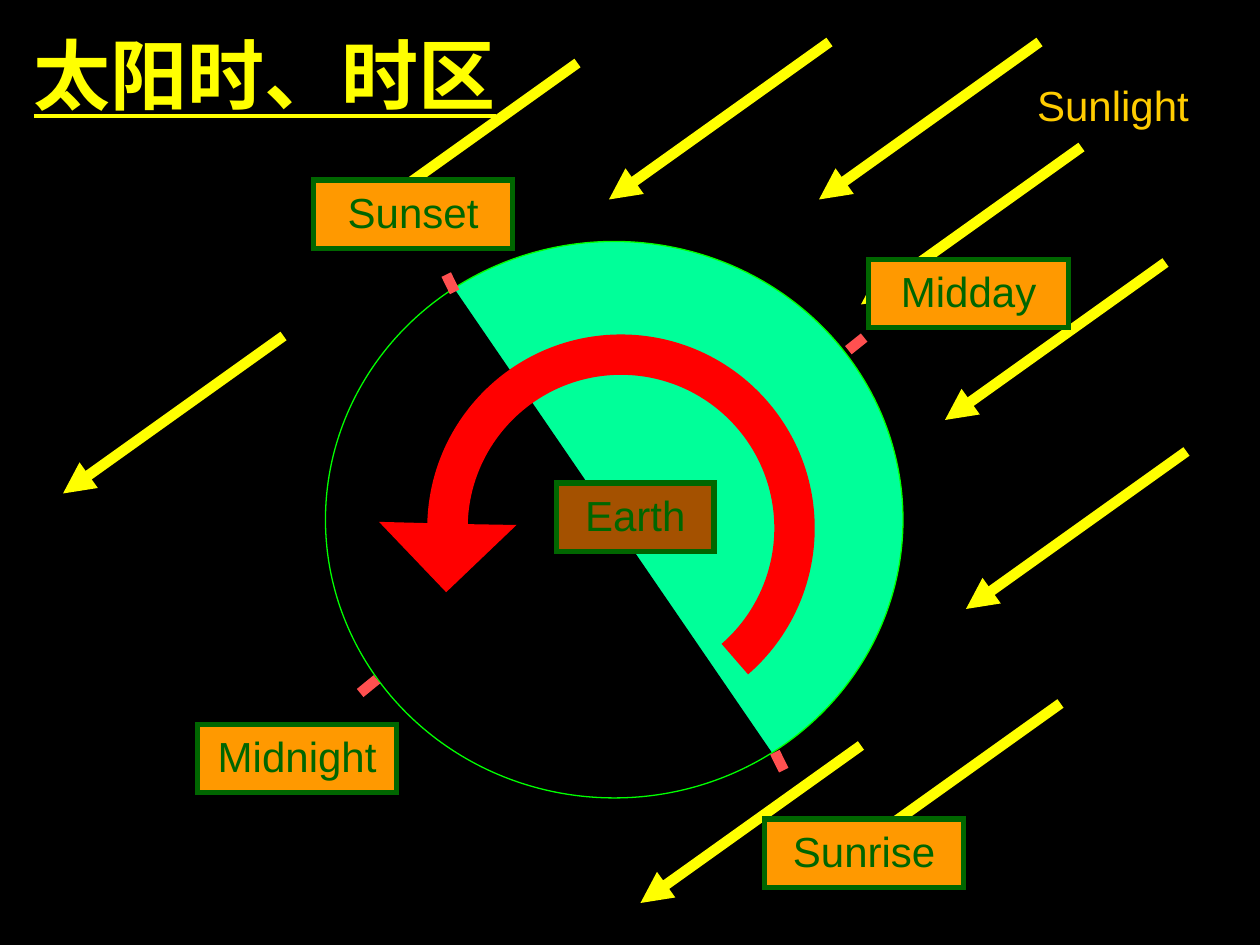
from dataclasses import dataclass
from math import cos, radians, sin, tan

from lxml import etree
from pptx import Presentation, util as u
from pptx.dml.color import RGBColor
from pptx.enum import shapes, text
from pptx.oxml.ns import qn


@dataclass(frozen=True)
class Theme:
    night: str = "000000"
    day: str = "00FF99"
    outline: str = "00FF00"
    ray: str = "FFFF00"
    sunlight: str = "FFCC00"
    spin: str = "FF0000"
    tick: str = "FF5050"
    label: str = "FF9900"
    earth: str = "A45100"
    ink: str = "006600"
    title_font: str = "Arial Narrow"
    label_font: str = "Arial"
    title_size: int = 44
    label_size: int = 24
    thick: float = 6
    border: float = 3
    thin: float = 0.75


THEME = Theme()
WIDTH, HEIGHT = u.Inches(10), u.Inches(7.5)
COLUMNS, ROWS = 120, 90

TITLE = ("太阳时、时区", (2.05, 2, 102, 10))
SUNLIGHT = ("Sunlight", (92, 7, 28, 6))
EARTH = ("Earth", (53, 46, 15, 6.5))
GLOBE = (31, 23, 55, 53)
NIGHT_SIDE = (25, 18, 32, 69)
NIGHT_TILT = 325.6
RAY_STARTS = [(55, 6), (79, 4), (27, 32), (99, 4), (82, 71),
              (103, 14), (101, 67), (111, 25), (113, 43)]
RAY_STEP = (-21, 15)
LABEL_SIZE = (19, 6.5)
TIMES = [
    ("Midday", (82.75, 24.7), (80.8, 33.35), (82.3, 32.15)),
    ("Midnight", (18.8, 69), (34.3, 66), (35.9, 64.7)),
    ("Sunset", (29.85, 17.15), (43.3, 27.8), (42.5, 26.15)),
    ("Sunrise", (72.8, 78), (74.65, 73.35), (73.8, 71.65)),
]
SPIN_CENTER = (59.15, 50.3)
SPIN_RADII = (18.45, 14.6)
SPIN_ANGLES = [49, 0, -90, -178.5]
SPIN_HEAD = [(36.1, 49.7), (42.5, 56.4), (49.2, 50)]


def x(column):
    return round(WIDTH * column / COLUMNS)


def y(row):
    return round(HEIGHT * row / ROWS)


def place(box):
    left, top, width, height = box
    return x(left), y(top), x(width), y(height)


def color(value):
    return RGBColor.from_string(value)


def paint(shape, fill=None, line=None, weight=0):
    shape.shadow.inherit = False
    if fill:
        shape.fill.solid()
        shape.fill.fore_color.rgb = color(fill)
    else:
        shape.fill.background()
    if line:
        shape.line.color.rgb = color(line)
        shape.line.width = u.Pt(weight)
        etree.SubElement(shape.line._get_or_add_ln(), qn("a:miter"), lim="800000")
    else:
        shape.line.fill.background()


def add_preset(slide, kind, box, **style):
    shape = slide.shapes.add_shape(kind, *place(box))
    paint(shape, **style)
    return shape


def write(shape, words, font, size, ink, align, anchor, strong=None):
    frame = shape.text_frame
    frame.word_wrap = True
    frame.vertical_anchor = anchor
    paragraph = frame.paragraphs[0]
    paragraph.alignment = align
    run = paragraph.add_run()
    run.text = words
    run.font.name = font
    run.font.size = u.Pt(size)
    run.font.color.rgb = color(ink)
    run.font.bold = run.font.underline = strong


def write_label(shape, words, ink=THEME.ink):
    write(shape, words, THEME.label_font, THEME.label_size, ink,
          text.PP_ALIGN.CENTER, text.MSO_ANCHOR.TOP)


def add_label(slide, words, box, fill):
    shape = add_preset(slide, shapes.MSO_SHAPE.RECTANGLE, box,
                       fill=fill, line=THEME.ink, weight=THEME.border)
    write_label(shape, words)


def add_line(slide, start, end, ink, arrow=False):
    line = slide.shapes.add_connector(
        shapes.MSO_CONNECTOR.STRAIGHT, x(start[0]), y(start[1]), x(end[0]), y(end[1]))
    line.line.color.rgb = color(ink)
    line.line.width = u.Pt(THEME.thick)
    if arrow:
        etree.SubElement(line.line._get_or_add_ln(), qn("a:tailEnd"), type="triangle")
    etree.SubElement(line._element.spPr, qn("a:effectLst"))


def on_circle(radius, degrees, along=0):
    angle = radians(degrees)
    column = SPIN_CENTER[0] + radius * (cos(angle) - along * sin(angle))
    row = SPIN_CENTER[1] + radius * (sin(angle) + along * cos(angle))
    return x(column), y(row)


def arc_curves(radius, angles):
    curves = []
    for first, last in zip(angles, angles[1:]):
        handle = 4 / 3 * tan(radians(last - first) / 4)
        curves.append([on_circle(radius, first, handle),
                       on_circle(radius, last, -handle),
                       on_circle(radius, last)])
    return curves


def add_spin_arrow(slide):
    outer, inner = SPIN_RADII
    back = SPIN_ANGLES[::-1]
    start = on_circle(outer, SPIN_ANGLES[0])
    head = [[(x(column), y(row))] for column, row in SPIN_HEAD]
    steps = (arc_curves(outer, SPIN_ANGLES) + head
             + [[on_circle(inner, back[0])]] + arc_curves(inner, back))
    builder = slide.shapes.build_freeform(*start)
    builder.add_line_segments([step[-1] for step in steps], close=True)
    shape = builder.convert_to_shape()
    paint(shape, fill=THEME.spin)
    for segment, step in zip(list(shape._element.iter(qn("a:lnTo"))), steps):
        if len(step) == 3:
            segment.tag = qn("a:cubicBezTo")
            segment.clear()
            for across, down in step:
                etree.SubElement(segment, qn("a:pt"),
                                 x=str(across - shape.left), y=str(down - shape.top))


def main():
    presentation = Presentation()
    presentation.slide_width, presentation.slide_height = WIDTH, HEIGHT
    slide = presentation.slides.add_slide(presentation.slide_layouts[6])
    slide.background.fill.solid()
    slide.background.fill.fore_color.rgb = color(THEME.night)

    words, box = TITLE
    write(slide.shapes.add_textbox(*place(box)), words, THEME.title_font, THEME.title_size,
          THEME.ray, text.PP_ALIGN.LEFT, text.MSO_ANCHOR.MIDDLE, strong=True)

    add_preset(slide, shapes.MSO_SHAPE.OVAL, GLOBE, fill=THEME.day)
    night = add_preset(slide, shapes.MSO_SHAPE.RECTANGLE, NIGHT_SIDE, fill=THEME.night)
    night.rotation = NIGHT_TILT
    add_preset(slide, shapes.MSO_SHAPE.OVAL, GLOBE, line=THEME.outline, weight=THEME.thin)

    for column, row in RAY_STARTS:
        end = (column + RAY_STEP[0], row + RAY_STEP[1])
        add_line(slide, (column, row), end, THEME.ray, arrow=True)

    words, box = SUNLIGHT
    write_label(slide.shapes.add_textbox(*place(box)), words, THEME.sunlight)
    add_label(slide, *EARTH, THEME.earth)
    for _, _, start, end in TIMES:
        add_line(slide, start, end, THEME.tick)
    add_spin_arrow(slide)
    for words, corner, _, _ in TIMES:
        add_label(slide, words, corner + LABEL_SIZE, THEME.label)

    presentation.save("out.pptx")


if __name__ == "__main__":
    main()
